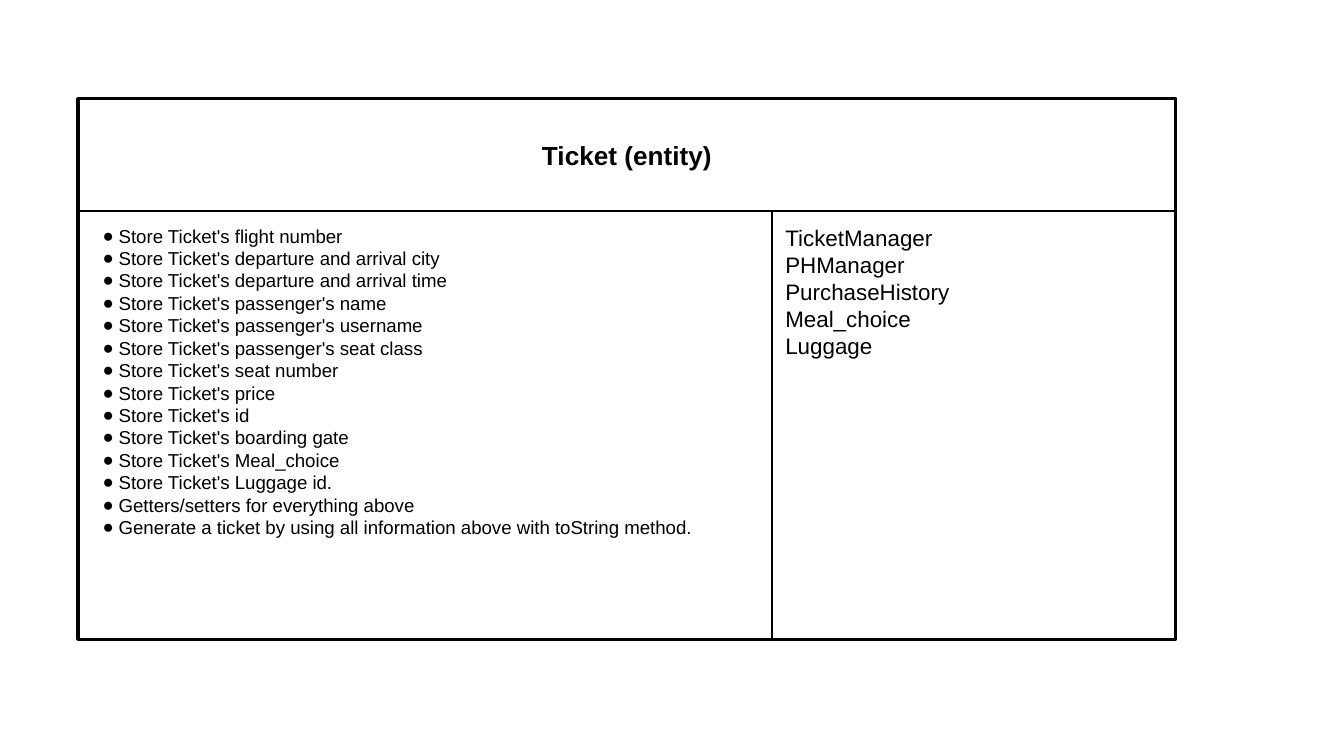
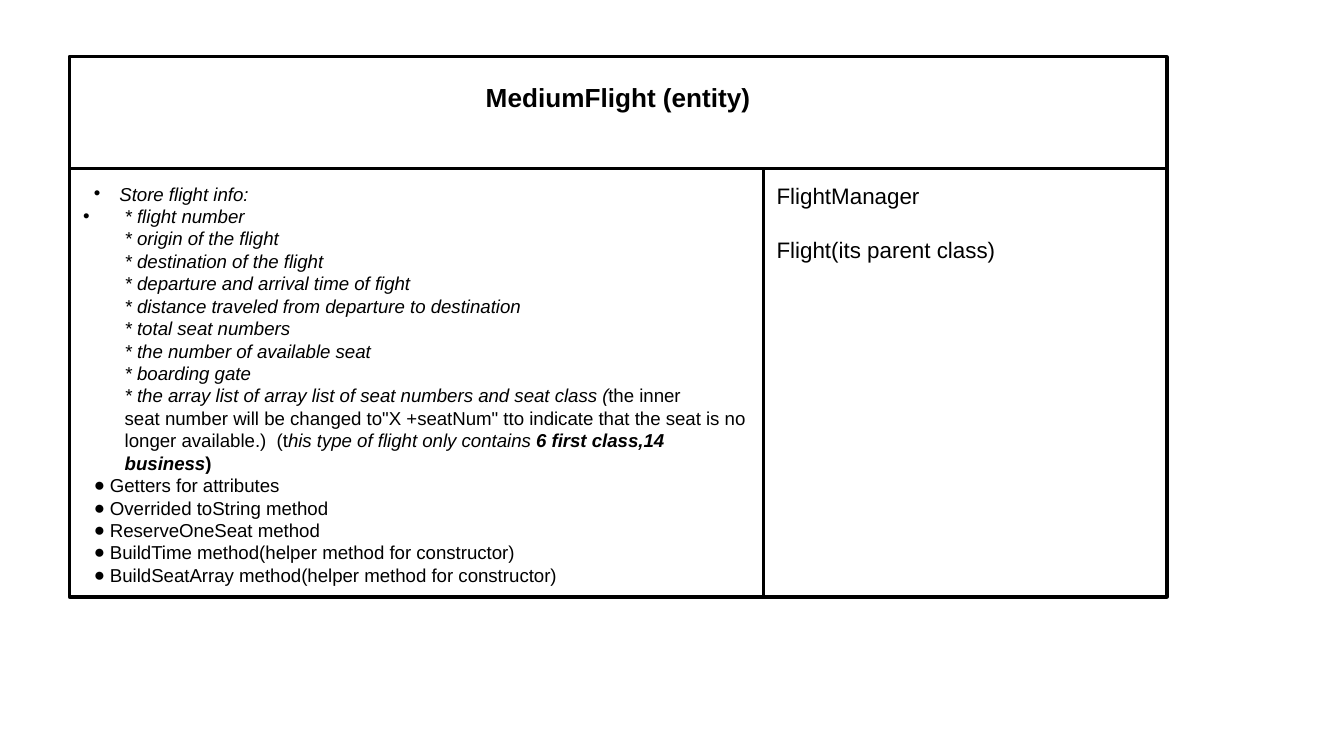
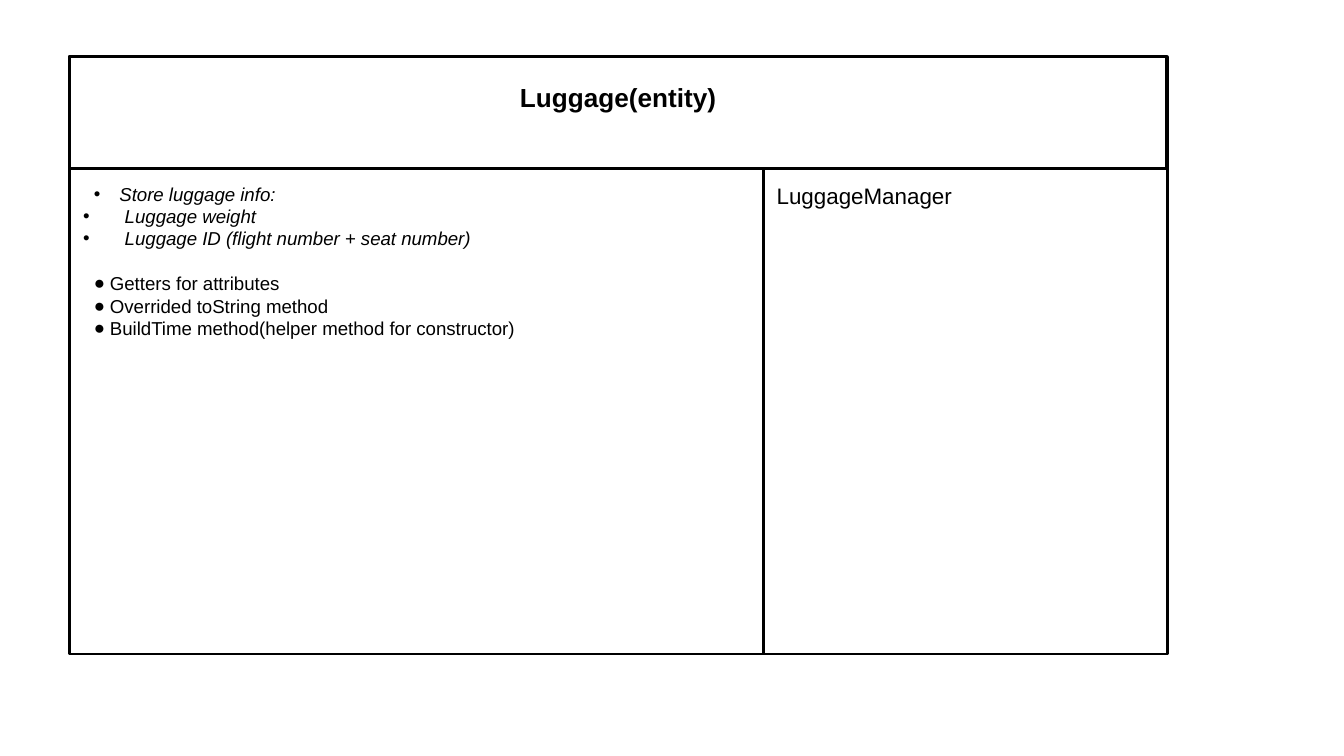
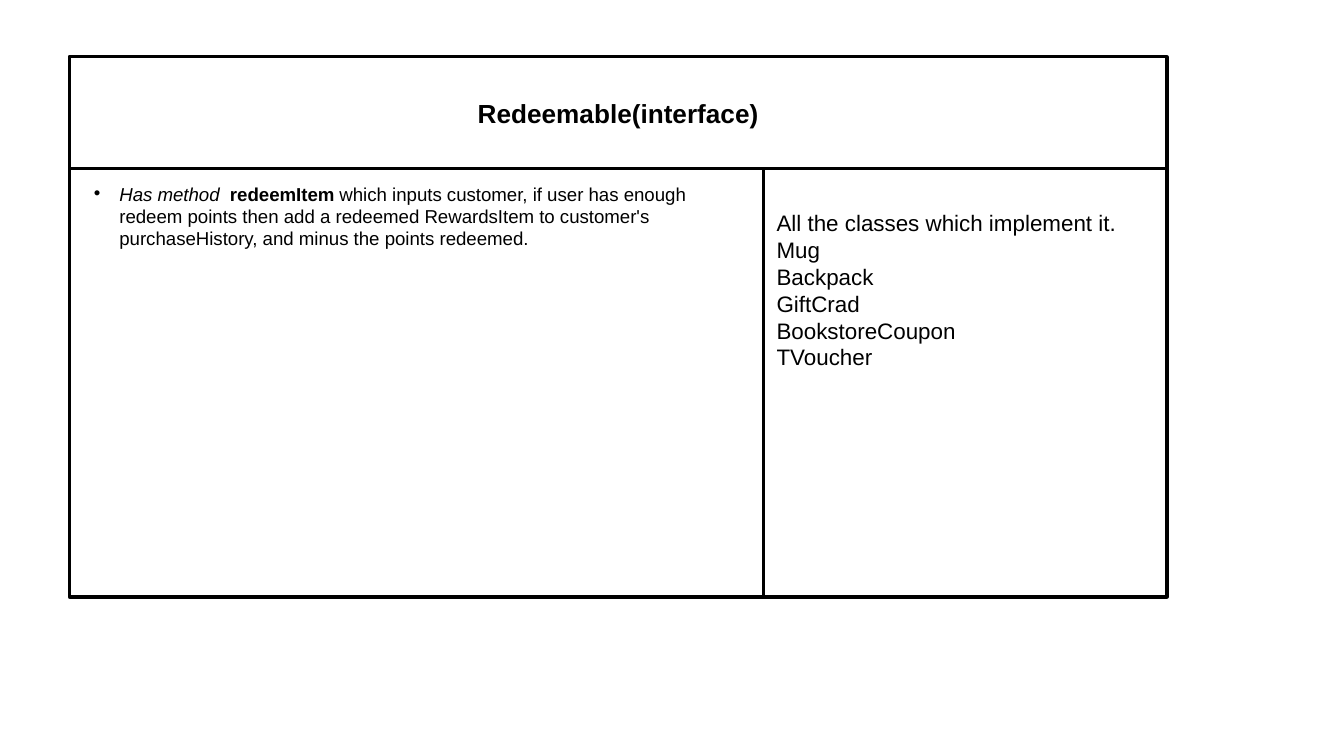
from pptx import Presentation
from pptx.dml.color import RGBColor
from pptx.enum.shapes import MSO_SHAPE
from pptx.enum.text import MSO_ANCHOR, MSO_AUTO_SIZE, PP_ALIGN
from pptx.oxml.ns import qn
from pptx.util import Emu, Inches, Pt
from lxml.etree import SubElement

BLACK = RGBColor(0x00, 0x00, 0x00)
WHITE = RGBColor(0xFF, 0xFF, 0xFF)
FONT = "Arial"
INSET = Inches(0.1)
NBSP = chr(160)

GRID = Inches(0.02)
CARD_COLS, CARD_ROWS = 408, 201
HEAD_ROWS = 41.75
DUTY_COLS = 258

DOT = ("●", 0.2, -0.12)
POINT = ("•", 0.27, -0.19)
WIDE = ("•", 0.31, -0.31)


def cells(n):
    return Emu(int(n * GRID))


def place(sp, box):
    sp.left, sp.top, sp.width, sp.height = (cells(n) for n in box)


def outline(sp, weight):
    sp.fill.solid()
    sp.fill.fore_color.rgb = WHITE
    sp.line.color.rgb = BLACK
    sp.line.width = Pt(weight)


def add_box(s, box, weight):
    sp = s.shapes.add_shape(MSO_SHAPE.RECTANGLE, *(cells(n) for n in box))
    sp.shadow.inherit = False
    outline(sp, weight)
    return sp


def set_frame(sp, anchor, top=INSET, bottom=INSET):
    tf = sp.text_frame
    tf.word_wrap = True
    tf.auto_size = MSO_AUTO_SIZE.NONE
    tf.vertical_anchor = anchor
    tf.margin_left = tf.margin_right = INSET
    tf.margin_top, tf.margin_bottom = top, bottom
    return tf


def add_run(p, text, size, style=""):
    for i, line in enumerate(text.split("\n")):
        if i:
            p.add_line_break()
        r = p.add_run()
        r.text = line
        r.font.name = FONT
        r.font.size = Pt(size)
        r.font.color.rgb = BLACK
        r.font.bold = "b" in style
        r.font.italic = "i" in style


def add_bullet(p, bullet):
    char, margin, indent = bullet
    pPr = p._p.get_or_add_pPr()
    pPr.set("marL", str(Inches(margin)))
    pPr.set("indent", str(Inches(indent)))
    color = SubElement(SubElement(pPr, qn("a:buClr")), qn("a:srgbClr"))
    color.set("val", str(BLACK))
    SubElement(pPr, qn("a:buFont")).set("typeface", FONT)
    SubElement(pPr, qn("a:buChar")).set("char", char)


def add_paragraph(tf, first, align=PP_ALIGN.LEFT, before=0):
    p = tf.paragraphs[0] if first else tf.add_paragraph()
    p.alignment = align
    p.space_before = Pt(before)
    return p


def add_title(s, box, text, raised):
    sp = s.shapes.title
    place(sp, box)
    outline(sp, 1.5)
    bottom = Inches(0.34) if raised else INSET
    tf = set_frame(sp, MSO_ANCHOR.MIDDLE, bottom=bottom)
    add_run(add_paragraph(tf, True, PP_ALIGN.CENTER), text, 14, "b")


def add_duties(s, box, groups, gap):
    tf = set_frame(add_box(s, box, 1.5), MSO_ANCHOR.TOP)
    first = True
    for n, (bullet, items) in enumerate(groups):
        for i, runs in enumerate(items):
            before = gap if i == 0 and n == len(groups) - 1 and not first else 0
            p = add_paragraph(tf, first, before=before)
            add_bullet(p, bullet)
            for text, style in runs:
                add_run(p, text, 10, style)
            first = False


def add_partners(s, box, names, top, gap):
    tf = set_frame(add_box(s, box, 1.5), MSO_ANCHOR.TOP, top=top)
    for i, name in enumerate(names):
        add_run(add_paragraph(tf, i == 0, before=gap if i else 0), name, 12)


def add_card(prs, title, groups, names, at=(26, 21.1), raised=False, body=(408, 159.25),
             duty_gap=0, names_top=INSET, names_gap=0):
    s = prs.slides.add_slide(prs.slide_layouts[5])
    x, y = at
    cols, rows = body
    frame = add_box(s, (x, y, CARD_COLS, CARD_ROWS), 2.25)
    s.shapes.title.element.addprevious(frame.element)
    add_title(s, (x, y, CARD_COLS, HEAD_ROWS), title, raised)
    body_y = y + HEAD_ROWS
    add_duties(s, (x, body_y, DUTY_COLS, rows), groups, duty_gap)
    add_partners(s, (x + DUTY_COLS, body_y, cols - DUTY_COLS, rows),
                 names, names_top, names_gap)


def items(*texts, style=""):
    return [[(text, style)] for text in texts]


TICKET_FIELDS = ["flight number", "departure and arrival city", "departure and arrival time",
                 "passenger's name", "passenger's username", "passenger's seat class",
                 "seat number", "price", "id", "boarding gate", "Meal_choice", "Luggage id."]

FLIGHT_FIELDS = ["flight number", "origin of the flight", "destination of the flight",
                 "departure and arrival time of fight",
                 "distance traveled from departure to destination", "total seat numbers",
                 "the number of available seat", "boarding gate",
                 "the array list of array list of seat numbers and seat class ("]

FLIGHT_INFO = [
    ("\n".join(f"* {field}" for field in FLIGHT_FIELDS), "i"),
    (f"the inner seat{NBSP}number will be changed to\"X{NBSP}+seatNum\"{NBSP}tto indicate that "
     f"the seat is no longer available.){NBSP} (t", ""),
    ("his type of flight only contains ", "i"),
    ("6 first class,14 business", "bi"),
    (")", "b"),
]

REDEEM_INFO = [
    (f"Has method{NBSP} ", "i"),
    ("redeemItem", "b"),
    (" which inputs customer, if user has enough redeem points then add a redeemed "
     "RewardsItem to customer's purchaseHistory, and minus the points redeemed.", ""),
]

GETTERS = ["Getters for attributes", "Overrided toString method"]
BUILD_TIME = "BuildTime method(helper method for constructor)"


def main():
    prs = Presentation()
    prs.slide_width = Inches(10)
    prs.slide_height = Emu(prs.slide_width * 9 // 16)

    add_card(prs, "Ticket (entity)",
             [(DOT, items(*(f"Store Ticket's {field}" for field in TICKET_FIELDS),
                          "Getters/setters for everything above",
                          "Generate a ticket by using all information above "
                          "with toString method."))],
             ["TicketManager", "PHManager", "PurchaseHistory", "Meal_choice", "Luggage"],
             at=(29.25, 36.75))

    add_card(prs, "MediumFlight (entity)",
             [(POINT, items("Store flight info:", style="i")),
              (WIDE, [FLIGHT_INFO]),
              (DOT, items(*GETTERS, "ReserveOneSeat method", BUILD_TIME,
                          "BuildSeatArray method(helper method for constructor)"))],
             ["FlightManager", "Flight(its parent class)"],
             raised=True, names_gap=14.4)

    add_card(prs, "Luggage(entity)",
             [(POINT, items("Store luggage info:", style="i")),
              (WIDE, items("Luggage weight", "Luggage ID (flight number + seat number)",
                           style="i")),
              (DOT, items(*GETTERS, BUILD_TIME))],
             ["LuggageManager"],
             raised=True, body=(408.5, 180.5), duty_gap=12)

    add_card(prs, "Redeemable(interface)",
             [(POINT, [REDEEM_INFO])],
             ["All the classes which implement it.", "Mug", "Backpack", "GiftCrad",
              "BookstoreCoupon", "TVoucher"],
             names_top=Inches(0.3))

    prs.save("out.pptx")


if __name__ == "__main__":
    main()
